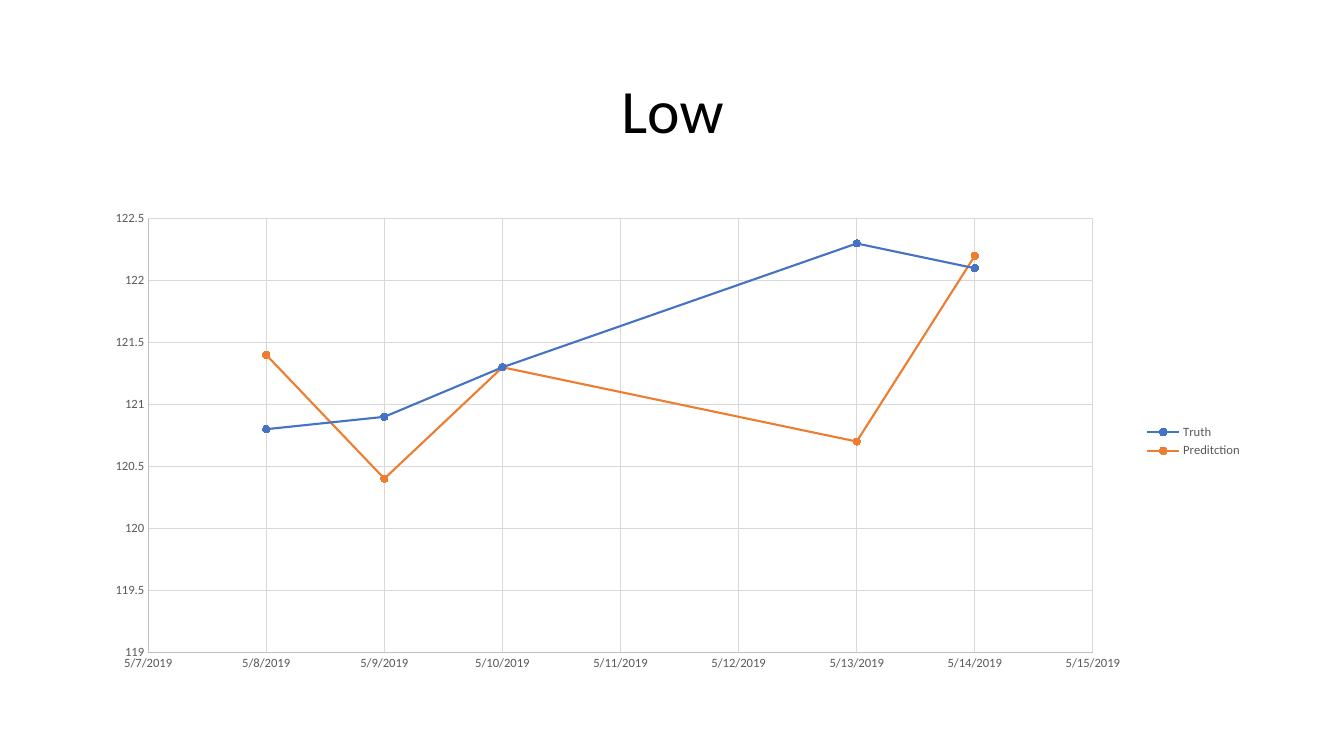
from lxml import etree
from pptx import Presentation
from pptx.chart.data import XyChartData
from pptx.dml.color import RGBColor
from pptx.enum.chart import (XL_CHART_TYPE, XL_LEGEND_POSITION,
                             XL_MARKER_STYLE, XL_TICK_MARK)
from pptx.enum.text import MSO_ANCHOR, PP_ALIGN
from pptx.oxml.ns import qn
from pptx.util import Inches, Pt

SCATTER = XL_CHART_TYPE.XY_SCATTER_LINES
LEGEND_RIGHT = XL_LEGEND_POSITION.RIGHT
CIRCLE = XL_MARKER_STYLE.CIRCLE
NO_TICK = XL_TICK_MARK.NONE
MIDDLE = MSO_ANCHOR.MIDDLE
CENTER = PP_ALIGN.CENTER

FONT = "Calibri"
COLORS = {
    "title": "000000", "label": "595959", "axis": "BFBFBF", "grid": "D9D9D9",
    "Truth": "4472C4", "Preditction": "ED7D31",
}

# Dates are day serials, counted from 5/7/2019
FIRST_DAY = 43592
DAYS = [1, 2, 3, 6, 7]
LOWS = {
    "Truth": [120.8, 120.9, 121.3, 122.3, 122.1],
    "Preditction": [121.4, 120.4, 121.3, 120.7, 122.2],
}

# Chart frame and the plot inside it, in inches
LEFT, TOP, WIDTH, HEIGHT = 0.92, 2, 11.5, 4.76
PLOT_LEFT, PLOT_TOP, PLOT_WIDTH, PLOT_HEIGHT = 1.47, 2.17, 9.37, 4.3


def color(name):
    return RGBColor.from_string(COLORS[name])


def style_font(font, size, name):
    font.name = FONT
    font.size = Pt(size)
    font.color.rgb = color(name)


deck = Presentation()
deck.slide_width = Inches(13.33)
deck.slide_height = Inches(7.5)
slide = deck.slides.add_slide(deck.slide_layouts[6])

# Title
title_box = slide.shapes.add_textbox(Inches(LEFT), Inches(0.4), Inches(WIDTH), Inches(1.45))
title_frame = title_box.text_frame
title_frame.word_wrap = True
title_frame.vertical_anchor = MIDDLE
para = title_frame.paragraphs[0]
para.alignment = CENTER
para.line_spacing = 0.9
span = para.add_run()
span.text = "Low"
style_font(span.font, 44, "title")

# Chart data
chart_data = XyChartData()
for name, lows in LOWS.items():
    points = chart_data.add_series(name)
    for day, low in zip(DAYS, lows):
        points.add_data_point(FIRST_DAY + day, low)

chart = slide.shapes.add_chart(SCATTER, Inches(LEFT), Inches(TOP), Inches(WIDTH),
                               Inches(HEIGHT), chart_data).chart
chart.has_title = False
style_font(chart.font, 10, "title")

# Series
for series in chart.plots[0].series:
    series_color = color(series.name)
    series.smooth = False
    series.format.line.color.rgb = series_color
    series.format.line.width = Pt(1.5)
    marker = series.marker
    marker.style = CIRCLE
    marker.size = 5
    marker.format.fill.solid()
    marker.format.fill.fore_color.rgb = series_color
    marker.format.line.color.rgb = series_color
chart.plots[0].vary_by_categories = False

# Axes
for axis, low, high, step, number_format in (
    (chart.category_axis, FIRST_DAY, FIRST_DAY + 8, 1, "m/d/yyyy"),
    (chart.value_axis, 119, 122.5, 0.5, "General"),
):
    axis.minimum_scale = low
    axis.maximum_scale = high
    axis.major_unit = step
    axis.major_tick_mark = NO_TICK
    axis.minor_tick_mark = NO_TICK
    axis.has_major_gridlines = True
    axis.tick_labels.number_format = number_format
    axis.tick_labels.number_format_is_linked = False
    style_font(axis.tick_labels.font, 9, "label")
    for line, name in ((axis.format.line, "axis"),
                       (axis.major_gridlines.format.line, "grid")):
        line.color.rgb = color(name)
        line.width = Pt(0.75)

# Legend
chart.has_legend = True
chart.legend.position = LEGEND_RIGHT
chart.legend.include_in_layout = False
style_font(chart.legend.font, 9, "label")

# Fixed plot position, as shares of the chart frame
plot_area = chart._chartSpace.find(".//" + qn("c:plotArea"))
layout = plot_area.find(qn("c:layout"))
if layout is None:
    layout = etree.Element(qn("c:layout"))
    plot_area.insert(0, layout)
manual = etree.SubElement(layout, qn("c:manualLayout"))
for tag, value in (
    ("layoutTarget", "inner"), ("xMode", "edge"), ("yMode", "edge"),
    ("x", (PLOT_LEFT - LEFT) / WIDTH), ("y", (PLOT_TOP - TOP) / HEIGHT),
    ("w", PLOT_WIDTH / WIDTH), ("h", PLOT_HEIGHT / HEIGHT),
):
    etree.SubElement(manual, qn("c:" + tag)).set("val", str(value))

deck.save("out.pptx")
